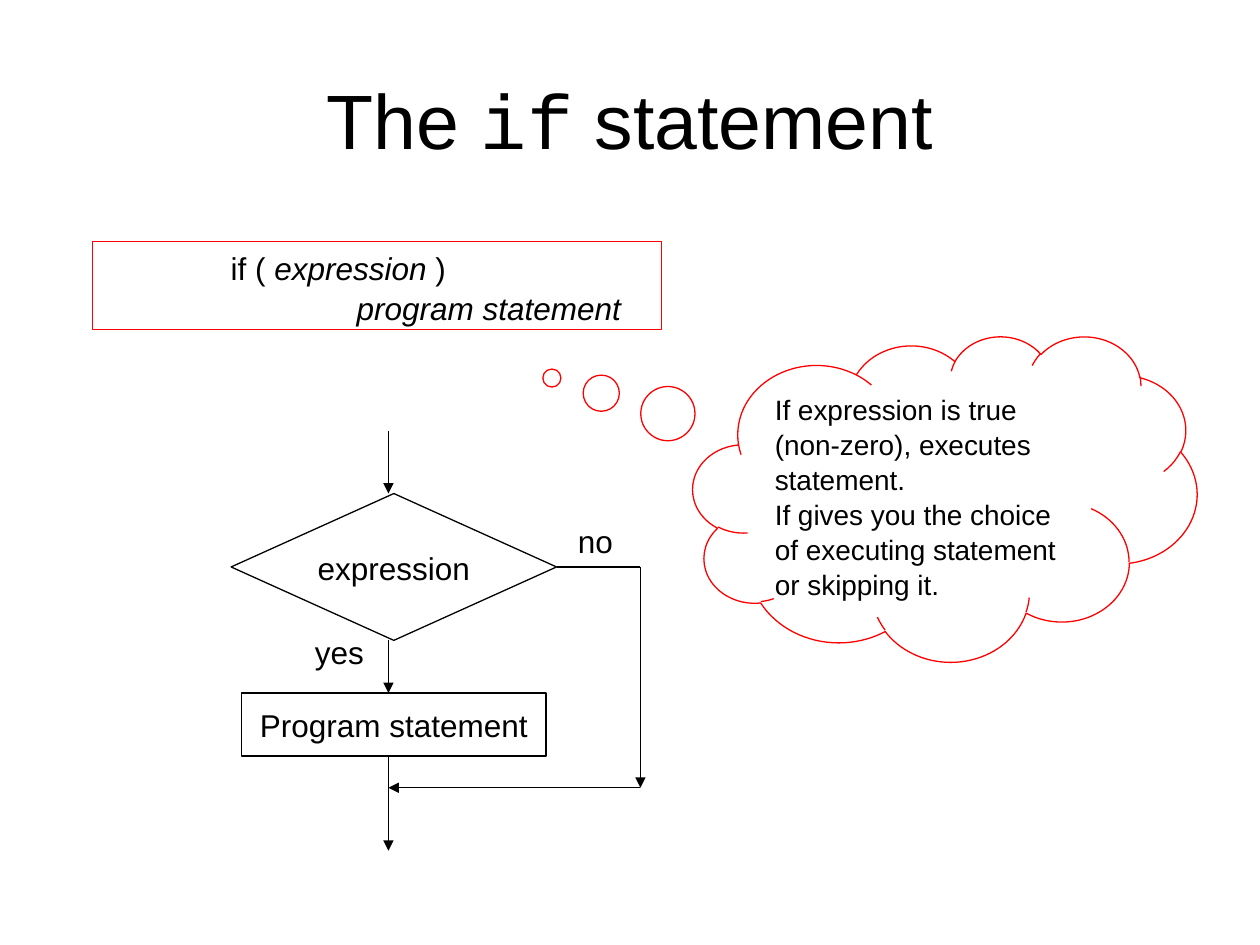
from lxml.etree import SubElement
from pptx import Presentation
from pptx.dml.color import RGBColor
from pptx.enum.shapes import MSO_CONNECTOR, MSO_SHAPE
from pptx.enum.text import MSO_ANCHOR, PP_ALIGN
from pptx.oxml.ns import qn
from pptx.util import Cm, Pt

# Content: a paragraph is a list of (text, style) runs
TITLE = [("The ", ""), ("if", "code"), (" statement", "")]
SYNTAX = [
    [("\tif ( ", ""), ("expression ", "italic"), (")", "")],
    [("\t\tprogram statement", "italic")],
]
THOUGHT = [
    [("If expression is true (non-zero), executes statement.", "")],
    [("If gives you the choice of executing statement or skipping it.", "")],
]
STEP = [[("Program statement", "")]]
TEST = [[("expression", "")]]

BLACK, RED = "000000", "FF0000"
TAB = 2.54

# Flow chart guides, in cm
MAIN, SIDE = 7.83, 12.91
START, TOP, MID, LOW = 8.69, 9.95, 11.43, 12.91
BOX, END, JOIN, EXIT = 13.97, 15.24, 15.88, 17.15

# Kind, place, outline, size, centred, paragraphs
SHAPES = [
    (MSO_SHAPE.RECTANGLE, (1.86, 4.87, 11.48, 1.78), RED, 18, False, SYNTAX),
    (MSO_SHAPE.CLOUD_CALLOUT, (13.97, 6.77, 10.16, 6.56), RED, 16, False, THOUGHT),
    (MSO_SHAPE.FLOWCHART_PROCESS, (4.87, BOX, 6.14, END - BOX), BLACK, 18, True, STEP),
    (MSO_SHAPE.FLOWCHART_DECISION, (4.66, TOP, 6.56, LOW - TOP), BLACK, 18, True, TEST),
]
LABELS = [("yes", (6.1, 12.6, 1.5, 1.02)), ("no", (11.4, 10.36, 1.22, 1.02))]

# From, to, arrowhead
LINES = [
    ((MAIN, START), (MAIN, TOP), True),
    ((MAIN, LOW), (MAIN, BOX), True),
    ((11.22, MID), (SIDE, MID), False),
    ((MAIN, END), (MAIN, EXIT), True),
    ((SIDE, MID), (SIDE, JOIN), True),
    ((SIDE, JOIN), (MAIN, JOIN), True),
]


def cms(vals):
    return [Cm(v) for v in vals]


def paint(part, hue):
    """Colour a fill, line or font."""
    fill = part if hasattr(part, "solid") else part.fill
    fill.solid()
    fill.fore_color.rgb = RGBColor.from_string(hue)


def write(par, runs, size):
    par.font.size = Pt(size)
    par.font.name = "Arial"
    paint(par.font, BLACK)
    for text, style in runs:
        run = par.add_run()
        run.text = text
        font = run.font
        font.name = "Courier New" if style == "code" else "Arial"
        font.size = Pt(size)
        font.italic = style == "italic"
        paint(font, BLACK)


def fill_text(frame, pars, size, mid=False, wrap=True):
    frame.word_wrap = wrap
    frame.vertical_anchor = MSO_ANCHOR.MIDDLE if mid else MSO_ANCHOR.TOP
    for i, runs in enumerate(pars):
        par = frame.add_paragraph() if i else frame.paragraphs[0]
        par.alignment = PP_ALIGN.CENTER if mid else PP_ALIGN.LEFT
        par.line_spacing = 1.04
        write(par, runs, size)
        # Tab stops, one per leading tab
        count = runs[0][0].count("\t")
        if count:
            props = par._p.get_or_add_pPr()
            stops = props.makeelement(qn("a:tabLst"), {})
            props.insert_element_before(stops, "a:defRPr", "a:extLst")
            for n in range(1, count + 1):
                SubElement(stops, qn("a:tab"), pos=str(Cm(TAB * n)), algn="l")


def add_box(slide, kind, place, hue, size, mid, pars):
    box = slide.shapes.add_shape(kind, *cms(place))
    box.shadow.inherit = False
    box.fill.background()
    paint(box.line, hue)
    box.line.width = Pt(0.75)
    if kind == MSO_SHAPE.CLOUD_CALLOUT:
        box.adjustments[0], box.adjustments[1] = -0.78, -0.37
    fill_text(box.text_frame, pars, size, mid, wrap=not mid)


def add_line(slide, start, end, head):
    line = slide.shapes.add_connector(MSO_CONNECTOR.STRAIGHT, *cms(start + end))
    paint(line.line, BLACK)
    line.line.width = Pt(0.75)
    props = line._element.spPr
    if head:
        SubElement(props.find(qn("a:ln")), qn("a:tailEnd"), type="triangle")
    SubElement(props, qn("a:effectLst"))


def main():
    deck = Presentation()
    deck.slide_width, deck.slide_height = Cm(25.4), Cm(19.05)
    slide = deck.slides.add_slide(deck.slide_layouts[5])

    # Title
    title = slide.shapes.title
    title.left, title.top, title.width, title.height = cms((1.27, 0.76, 22.86, 3.18))
    fill_text(title.text_frame, [TITLE], 44, mid=True)

    # Boxes, labels and arrows
    for item in SHAPES:
        add_box(slide, *item)
    for text, place in LABELS:
        label = slide.shapes.add_textbox(*cms(place))
        fill_text(label.text_frame, [[(text, "")]], 18, wrap=False)
    for item in LINES:
        add_line(slide, *item)

    deck.save("out.pptx")


if __name__ == "__main__":
    main()
